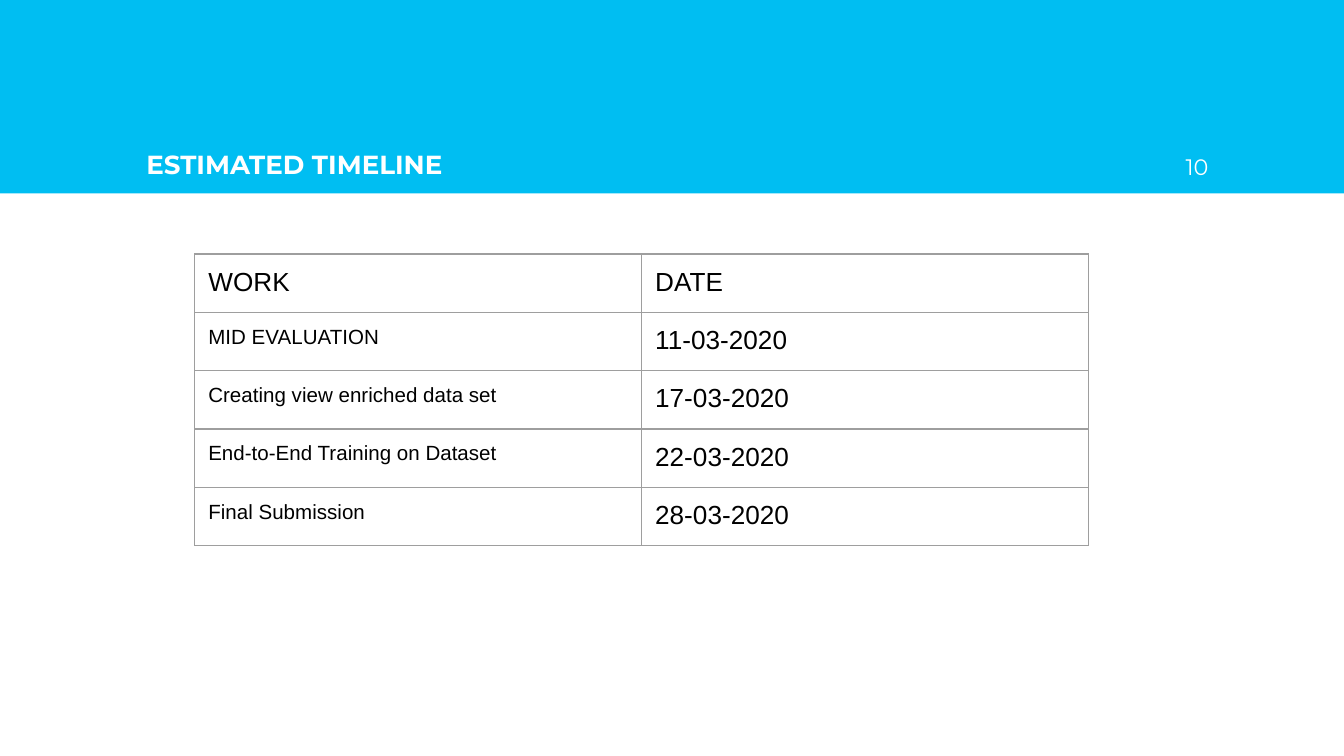
from dataclasses import dataclass

from lxml import etree
from pptx import Presentation
from pptx.dml.color import RGBColor
from pptx.enum import shapes, text
from pptx.oxml import ns
from pptx.util import Inches, Length, Pt

SKY = RGBColor(0x00, 0xBE, 0xF2)
WHITE = RGBColor(0xFF, 0xFF, 0xFF)
BLACK = RGBColor(0x00, 0x00, 0x00)
GREY = RGBColor(0x9E, 0x9E, 0x9E)

WIDTH = Inches(10)
HEIGHT = WIDTH * 9 // 16
BAND_HEIGHT = Inches(1.44)
LABEL_TOP, LABEL_HEIGHT = Inches(0.71), Inches(0.73)
TABLE_LEFT, TABLE_TOP = Inches(1.45), Inches(1.89)
COLUMN_WIDTH = Pt(239.4)
INSET = Inches(0.1)


@dataclass(frozen=True)
class Label:
    words: str
    left: float
    width: float
    size: int
    bold: bool
    align: text.PP_ALIGN


@dataclass(frozen=True)
class Milestone:
    work: str
    date: str
    work_size: int = 11
    date_size: int = 14
    height: Length = Pt(30)


LABELS = [
    Label("ESTIMATED TIMELINE", 0.099, 0.78, 14, True, text.PP_ALIGN.LEFT),
    Label("10", 0.849, 0.06, 12, False, text.PP_ALIGN.RIGHT),
]
MILESTONES = [
    Milestone("WORK", "DATE", work_size=14),
    Milestone("MID EVALUATION", "11-03-2020", height=Inches(0.37)),
    Milestone("Creating view enriched data set", "17-03-2020"),
    Milestone("End-to-End Training on Dataset", "22-03-2020"),
    Milestone("Final Submission", "28-03-2020"),
]


def set_insets(target, inset: Length) -> None:
    target.margin_left = target.margin_right = inset
    target.margin_top = target.margin_bottom = inset


def style_text(frame, font: str, size: int, color: RGBColor, bold: bool = False) -> None:
    for paragraph in frame.paragraphs:
        for span in paragraph.runs:
            span.font.name = font
            span.font.size = Pt(size)
            span.font.bold = bold
            span.font.color.rgb = color


def draw_band(page) -> None:
    band = page.shapes.add_shape(shapes.MSO_SHAPE.RECTANGLE, 0, 0, WIDTH, BAND_HEIGHT)
    band.shadow.inherit = False
    band.fill.solid()
    band.fill.fore_color.rgb = SKY
    band.line.fill.background()


def draw_label(page, label: Label) -> None:
    box = page.shapes.add_textbox(
        int(WIDTH * label.left), LABEL_TOP, int(WIDTH * label.width), LABEL_HEIGHT
    )
    frame = box.text_frame
    frame.word_wrap = True
    frame.vertical_anchor = text.MSO_ANCHOR.BOTTOM
    set_insets(frame, INSET)
    frame.text = label.words
    frame.paragraphs[0].alignment = label.align
    style_text(frame, "Montserrat", label.size, WHITE, label.bold)


def draw_borders(cell) -> None:
    properties = cell._tc.get_or_add_tcPr()
    for position, side in enumerate(("lnL", "lnR", "lnT", "lnB")):
        border = etree.Element(ns.qn(f"a:{side}"), w=str(Pt(0.75)))
        fill = etree.SubElement(border, ns.qn("a:solidFill"))
        etree.SubElement(fill, ns.qn("a:srgbClr"), val=str(GREY))
        properties.insert(position, border)


def fill_cell(cell, words: str, size: int) -> None:
    cell.fill.background()
    set_insets(cell, INSET)
    cell.text_frame.text = words
    style_text(cell.text_frame, "Arial", size, BLACK)
    draw_borders(cell)


def draw_timeline(page, milestones: list[Milestone]) -> None:
    table = page.shapes.add_table(
        len(milestones), 2, TABLE_LEFT, TABLE_TOP,
        2 * COLUMN_WIDTH, sum(milestone.height for milestone in milestones),
    ).table
    table.first_row = table.horz_banding = False
    for column in table.columns:
        column.width = COLUMN_WIDTH
    for index, milestone in enumerate(milestones):
        table.rows[index].height = milestone.height
        fill_cell(table.cell(index, 0), milestone.work, milestone.work_size)
        fill_cell(table.cell(index, 1), milestone.date, milestone.date_size)


def main() -> None:
    deck = Presentation()
    deck.slide_width, deck.slide_height = WIDTH, HEIGHT
    page = deck.slides.add_slide(deck.slide_layouts[6])
    draw_band(page)
    for label in LABELS:
        draw_label(page, label)
    draw_timeline(page, MILESTONES)
    deck.save("out.pptx")


if __name__ == "__main__":
    main()
